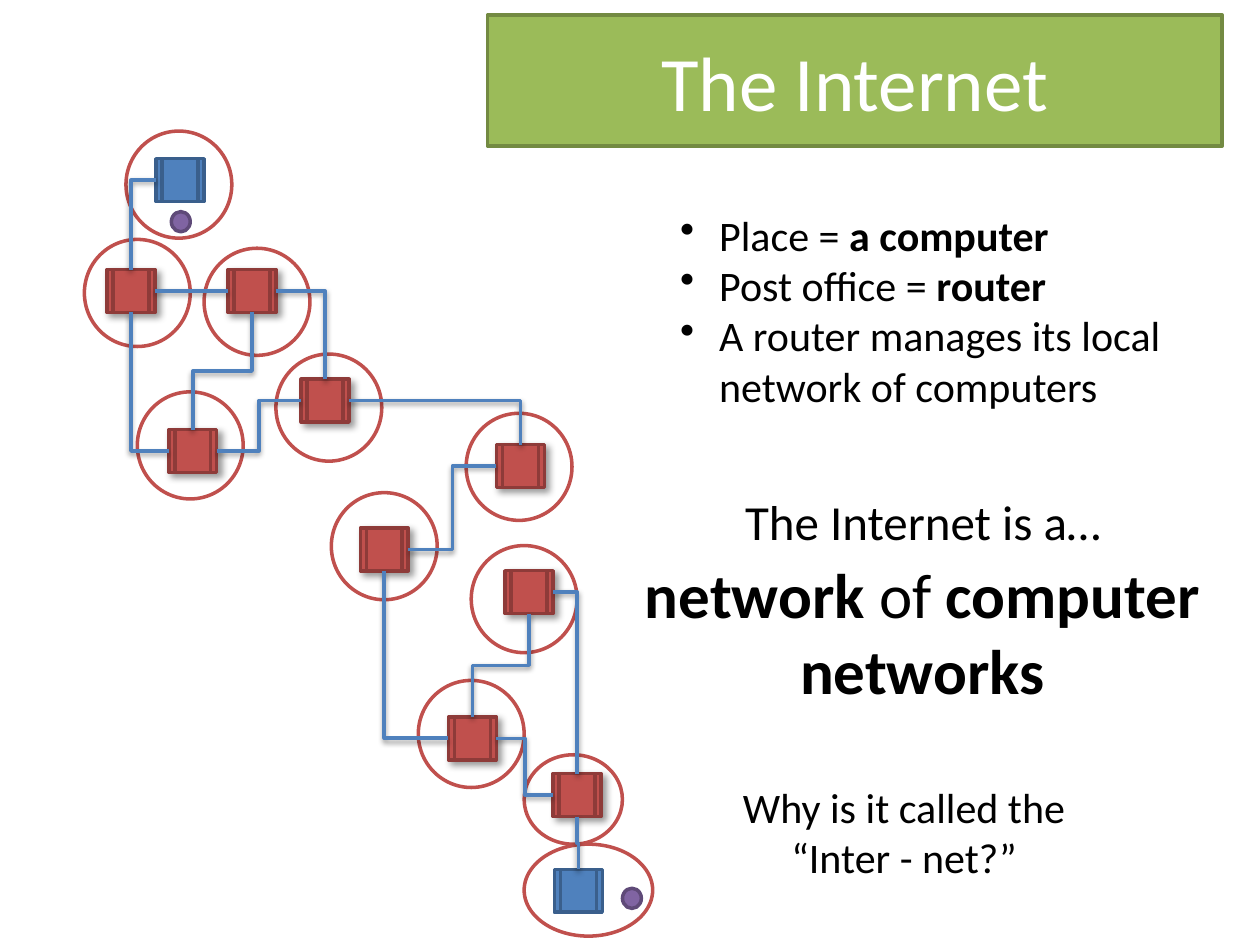
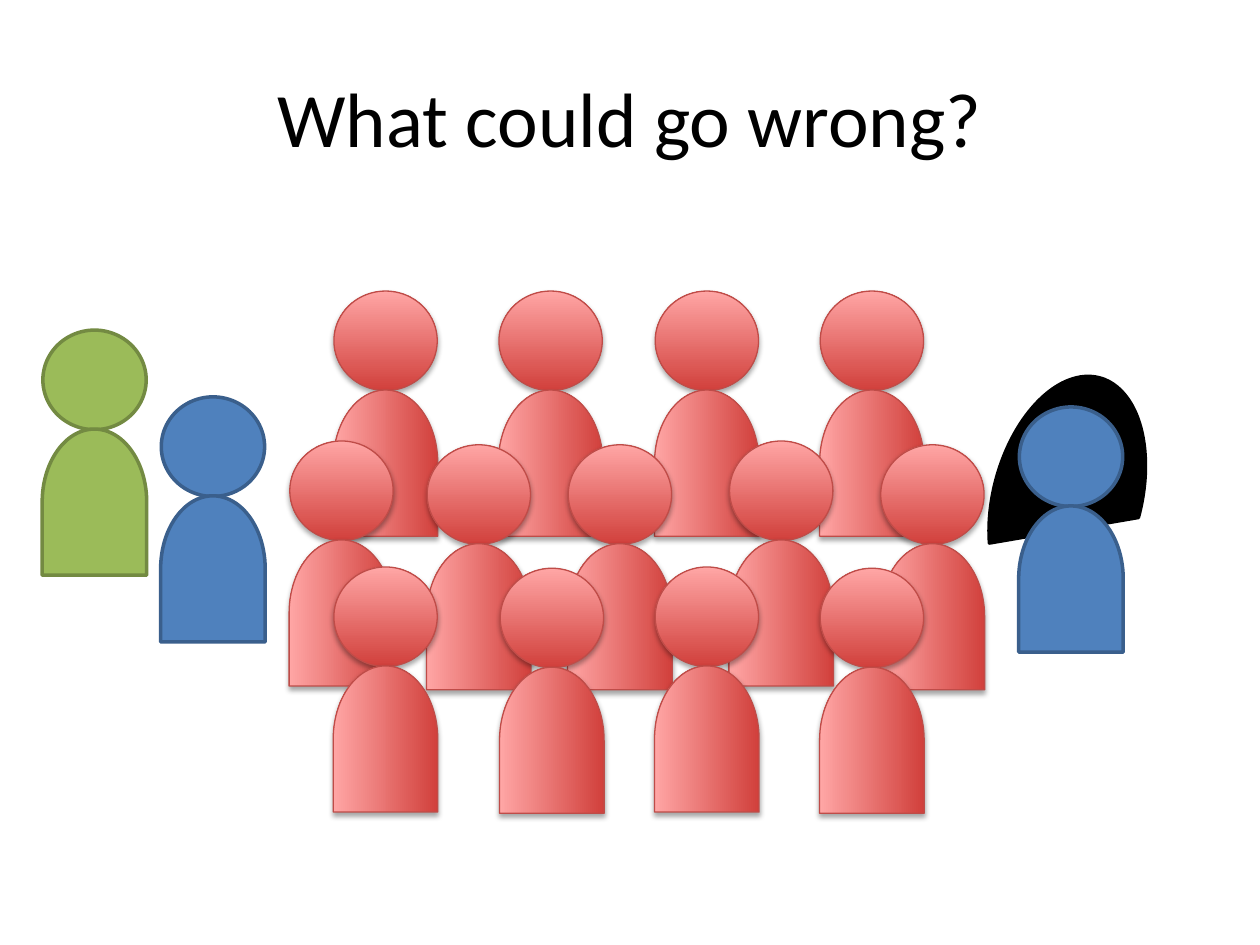
"""Build two slides: the Internet as a network of routers, and a crowd between two people."""
import pptx
import pptx.dml.color
import pptx.enum.shapes
import pptx.enum.text
import pptx.oxml.ns
import pptx.util
from lxml import etree

RGBColor = pptx.dml.color.RGBColor
Inches = pptx.util.Inches
Shape = pptx.enum.shapes.MSO_SHAPE
Align = pptx.enum.text.PP_ALIGN
qn = pptx.oxml.ns.qn

FONT = "Calibri"
BLACK = RGBColor(0x00, 0x00, 0x00)
WHITE = RGBColor(0xFF, 0xFF, 0xFF)
GREEN = RGBColor(0x9B, 0xBB, 0x59)
DARK_GREEN = RGBColor(0x73, 0x8A, 0x42)
BLUE = RGBColor(0x4F, 0x81, 0xBD)
DARK_BLUE = RGBColor(0x3A, 0x5F, 0x8C)
RED = RGBColor(0xC0, 0x50, 0x4D)
DARK_RED = RGBColor(0x8E, 0x3B, 0x39)
PURPLE = RGBColor(0x80, 0x64, 0xA2)
DARK_PURPLE = RGBColor(0x5F, 0x4A, 0x78)
CROWD_LINE = RGBColor(0xBF, 0x4C, 0x48)
CROWD_GRADIENT = [RGBColor(0xD1, 0x40, 0x3C), RGBColor(0xFF, 0xA6, 0xA5)]

ROUTER_SHADOW = {"opacity": 40, "blur": 4, "distance": 3, "angle": 45}
LINK_SHADOW = {"opacity": 38, "blur": 3.1, "distance": 1.6, "angle": 90}
CROWD_SHADOW = {"opacity": 35, "blur": 3.1, "distance": 1.8, "angle": 90}

NODE_SIZE = (0.38, 0.34)
RING_SIZE = (0.84, 0.85)
PACKET_SIZE = (0.15, 0.16)
COMPUTERS = {"sender": (1.24, 1.26), "receiver": (4.4, 6.9)}
ROUTERS = {
    "A": (0.85, 2.14), "B": (1.81, 2.14), "C": (1.34, 3.41),
    "D": (2.39, 3.01), "E": (3.94, 3.53), "F": (2.86, 4.19),
    "G": (4.01, 4.53), "H": (3.56, 5.69), "I": (4.39, 6.14),
}
RINGS = [
    (1, 1.04), (0.67, 1.9), (1.62, 1.97), (1.09, 3.11), (2.19, 2.81),
    (3.7, 3.28), (2.63, 3.91), (3.74, 4.33), (3.32, 5.4),
]
WIDE_RINGS = [(4.16, 5.99, 0.78, 0.71), (4.16, 6.7, 1.02, 0.73)]
PACKETS = [(1.36, 1.68), (4.94, 7.05)]
TOP, LEFT, BOTTOM, RIGHT = range(4)
LINKS = [
    ("sender", LEFT, "A", TOP), ("B", LEFT, "A", RIGHT), ("B", BOTTOM, "C", TOP),
    ("B", RIGHT, "D", TOP), ("C", LEFT, "A", BOTTOM), ("D", LEFT, "C", RIGHT),
    ("D", RIGHT, "E", TOP), ("E", LEFT, "F", RIGHT), ("G", BOTTOM, "H", TOP),
    ("H", LEFT, "F", BOTTOM), ("G", RIGHT, "I", TOP), ("I", LEFT, "H", RIGHT),
    ("I", BOTTOM, "receiver", TOP),
]
FACTS = [
    [("Place = ", False), ("a computer", True)],
    [("Post office = ", False), ("router", True)],
    [("A router manages its local network of computers", False)],
]
LEAD_IN = [[("The Internet is a… ", False)]]
DEFINITION = [[("network", True), (" of ", False), ("computer networks", True)]]
QUESTION = [[("Why is it called the ", False)], [("“Inter - net?”", False)]]

HEAD_SIZE = (0.82, 0.79)
BODY_SIZE = (1.16, 0.83)
BODY_OFFSET = (-0.17, 0.95)
CROWD_ROWS = [
    [(2.65, 2.31), (3.96, 2.31), (5.2, 2.31), (6.51, 2.31)],
    [(2.3, 3.5), (3.39, 3.53), (4.51, 3.53), (5.79, 3.5), (6.99, 3.53)],
    [(2.65, 4.5), (3.97, 4.51), (5.2, 4.5), (6.51, 4.51)],
]


def add_shadow(shape, opacity, blur, distance, angle):
    properties = shape._element.spPr
    effects = properties.find(qn("a:effectLst"))
    if effects is None:
        effects = etree.SubElement(properties, qn("a:effectLst"))
    shadow = etree.SubElement(effects, qn("a:outerShdw"), {
        "blurRad": str(pptx.util.Pt(blur)), "dist": str(pptx.util.Pt(distance)),
        "dir": str(angle * 60000), "rotWithShape": "0"})
    color = etree.SubElement(shadow, qn("a:srgbClr"), val=str(BLACK))
    etree.SubElement(color, qn("a:alpha"), val=str(opacity * 1000))


def set_colors(shape, fill, line, width=2):
    if fill is None:
        shape.fill.background()
    elif isinstance(fill, list):
        shape.fill.gradient()
        shape.fill.gradient_angle = 90
        for stop, color in zip(shape.fill.gradient_stops, fill):
            stop.color.rgb = color
    else:
        shape.fill.solid()
        shape.fill.fore_color.rgb = fill
    shape.line.color.rgb = line
    shape.line.width = pptx.util.Pt(width)


def add_shape(slide, kind, place, size, fill, line, width=2, shadow=None, rotation=0):
    shape = slide.shapes.add_shape(kind, *map(Inches, (*place, *size)))
    set_colors(shape, fill, line, width)
    shape.rotation = rotation
    shape.shadow.inherit = False
    if shadow:
        add_shadow(shape, **shadow)
    return shape


def add_titled_slide(presentation, text, box, color):
    slide = presentation.slides.add_slide(presentation.slide_layouts[5])
    title = slide.shapes.title
    title.left, title.top, title.width, title.height = map(Inches, box)
    title.text_frame.text = text
    title.text_frame.vertical_anchor = pptx.enum.text.MSO_ANCHOR.MIDDLE
    paragraph = title.text_frame.paragraphs[0]
    paragraph.alignment = Align.CENTER
    paragraph.font.name = FONT
    paragraph.font.size = pptx.util.Pt(44)
    paragraph.font.color.rgb = color
    return slide


def add_text(slide, box, paragraphs, size, wrap=True, bullets=False):
    frame = slide.shapes.add_textbox(*map(Inches, box)).text_frame
    frame.word_wrap = wrap
    for index, runs in enumerate(paragraphs):
        paragraph = frame.add_paragraph() if index else frame.paragraphs[0]
        paragraph.alignment = Align.LEFT if bullets else Align.CENTER
        paragraph.font.name = FONT
        paragraph.font.size = pptx.util.Pt(size)
        paragraph.font.color.rgb = BLACK
        for text, bold in runs:
            run = paragraph.add_run()
            run.text = text
            run.font.bold = bold
        if bullets:
            properties = paragraph._p.get_or_add_pPr()
            properties.set("marL", str(Inches(0.31)))
            properties.set("indent", str(-Inches(0.31)))
            bullet = etree.Element(qn("a:buChar"), char="•")
            properties.find(qn("a:defRPr")).addprevious(bullet)


def add_link(slide, start, start_site, end, end_site):
    link = slide.shapes.add_connector(pptx.enum.shapes.MSO_CONNECTOR.ELBOW, 0, 0, 0, 0)
    link.begin_connect(start, start_site)
    link.end_connect(end, end_site)
    properties = link._element.spPr
    vertical_ends = sum(site in (TOP, BOTTOM) for site in (start_site, end_site))
    if vertical_ends == 1:
        properties.find(qn("a:prstGeom")).set("prst", "bentConnector2")
    elif vertical_ends == 2:
        center_x = (link.begin_x + link.end_x) // 2
        center_y = (link.begin_y + link.end_y) // 2
        half_run = (link.end_y - link.begin_y) // 2
        half_shift = (link.begin_x - link.end_x) // 2
        link.begin_x, link.end_x = center_x - half_run, center_x + half_run
        link.begin_y, link.end_y = center_y - half_shift, center_y + half_shift
        properties.find(qn("a:xfrm")).set("rot", str(90 * 60000))
    link.line.color.rgb = BLUE
    link.line.width = pptx.util.Pt(2)
    add_shadow(link, **LINK_SHADOW)


def add_person(slide, place, fill, line, width=2, shadow=None):
    x, y = place
    body_place = (x + BODY_OFFSET[0], y + BODY_OFFSET[1])
    add_shape(slide, Shape.OVAL, place, HEAD_SIZE, fill, line, width, shadow)
    add_shape(slide, Shape.FLOWCHART_DELAY, body_place, BODY_SIZE, fill, line, width, shadow, 270)


def build_internet_slide(presentation):
    slide = add_titled_slide(presentation, "The Internet", (3.87, 0.12, 5.83, 1.04), WHITE)
    set_colors(slide.shapes.title, GREEN, DARK_GREEN)
    nodes = {}
    for places, fill, line, shadow in (
            (COMPUTERS, BLUE, DARK_BLUE, None), (ROUTERS, RED, DARK_RED, ROUTER_SHADOW)):
        for name, place in places.items():
            nodes[name] = add_shape(slide, Shape.FLOWCHART_PREDEFINED_PROCESS, place,
                                    NODE_SIZE, fill, line, shadow=shadow)
    for x, y, *size in RINGS + WIDE_RINGS:
        add_shape(slide, Shape.OVAL, (x, y), size or RING_SIZE, None, RED)
    for place in PACKETS:
        add_shape(slide, Shape.OVAL, place, PACKET_SIZE, PURPLE, DARK_PURPLE)
    for start, start_site, end, end_site in LINKS:
        add_link(slide, nodes[start], start_site, nodes[end], end_site)
    add_text(slide, (5.3, 1.61, 4.5, 1.72), FACTS, 24, bullets=True)
    add_text(slide, (4.94, 4.36, 4.76, 1.31), DEFINITION, 36)
    add_text(slide, (5.78, 3.85, 3.09, 0.57), LEAD_IN, 28, wrap=False)
    add_text(slide, (5.78, 6.15, 2.79, 0.91), QUESTION, 24, wrap=False)


def build_crowd_slide(presentation):
    slide = add_titled_slide(presentation, "What could go wrong?", (0.5, 0.3, 9, 1.25), BLACK)
    add_person(slide, (1.28, 3.15), BLUE, DARK_BLUE)
    add_shape(slide, Shape.CHORD, (7.48, 3.37), (1.98, 1.17), BLACK, BLACK, rotation=105.1)
    add_person(slide, (8.09, 3.23), BLUE, DARK_BLUE)
    for row in CROWD_ROWS:
        for place in row:
            add_person(slide, place, CROWD_GRADIENT, CROWD_LINE, 0.75, CROWD_SHADOW)
    add_person(slide, (0.34, 2.62), GREEN, DARK_GREEN)


def main():
    presentation = pptx.Presentation()
    presentation.slide_width, presentation.slide_height = Inches(10), Inches(7.5)
    build_internet_slide(presentation)
    build_crowd_slide(presentation)
    presentation.save("out.pptx")


if __name__ == "__main__":
    main()
